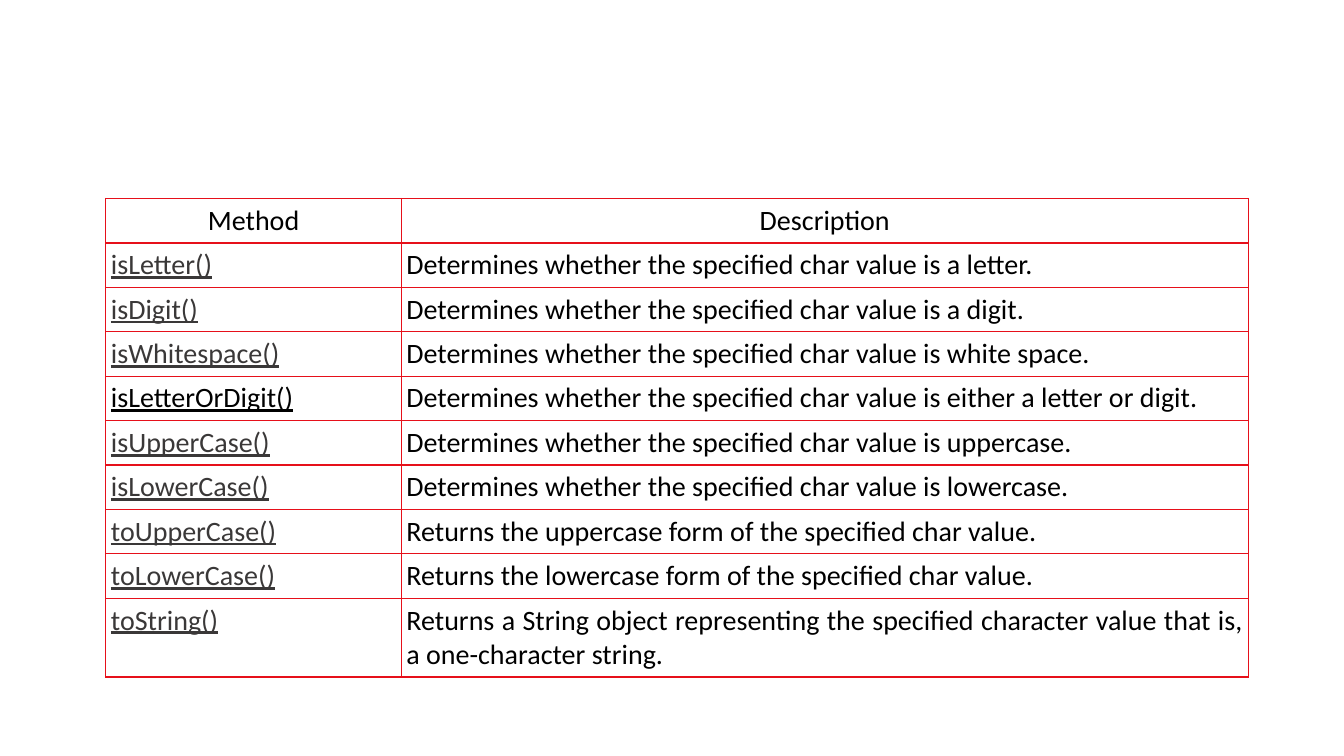
from lxml import etree
from pptx import Presentation
from pptx.dml.color import RGBColor
from pptx.enum import text
from pptx.oxml import ns
from pptx.util import Inches, Pt

BLACK = RGBColor(0x00, 0x00, 0x00)
METHOD_GREY = RGBColor(0x3A, 0x38, 0x38)
BORDER_RED = RGBColor(0xE6, 0x10, 0x1A)

HEADINGS = ("Method", "Description")
CHECK = "Determines whether the specified char value is "
METHODS = [
    ("isLetter()", CHECK + "a letter."),
    ("isDigit()", CHECK + "a digit."),
    ("isWhitespace()", CHECK + "white space."),
    ("isLetterOrDigit()", CHECK + "either a letter or digit."),
    ("isUpperCase()", CHECK + "uppercase."),
    ("isLowerCase()", CHECK + "lowercase."),
    ("toUpperCase()", "Returns the uppercase form of the specified char value."),
    ("toLowerCase()", "Returns the lowercase form of the specified char value."),
    ("toString()", "Returns a String object representing the specified "
                   "character value that is, a one-character string."),
]


def add_borders(cell):
    """Draw a thin red line on all four sides of a cell."""
    properties = cell._tc.get_or_add_tcPr()
    for position, side in enumerate(("lnL", "lnR", "lnT", "lnB")):
        line = etree.Element(ns.qn("a:" + side), w=str(Pt(1)))
        solid = etree.SubElement(line, ns.qn("a:solidFill"))
        etree.SubElement(solid, ns.qn("a:srgbClr"), val=str(BORDER_RED))
        properties.insert(position, line)


prs = Presentation()
prs.slide_width, prs.slide_height = Inches(13.33), Inches(7.5)
slide = prs.slides.add_slide(prs.slide_layouts[6])

rows = [HEADINGS] + METHODS
method_table = slide.shapes.add_table(
    len(rows), len(HEADINGS),
    Inches(1.05), Inches(1.97), Inches(11.33), Inches(4.64)).table
method_table.horz_banding = False
method_table.first_row = False
for column, width in zip(method_table.columns, (2.93, 8.4)):
    column.width = Inches(width)
for row in method_table.rows:
    row.height = Inches(0.43)
method_table.rows[len(rows) - 1].height = Inches(0.77)

for row_number, row in enumerate(rows):
    for column_number, wording in enumerate(row):
        cell = method_table.cell(row_number, column_number)
        cell.margin_left = cell.margin_right = Inches(0.05)
        cell.margin_top = cell.margin_bottom = Inches(0.05)
        cell.fill.background()
        add_borders(cell)

        cell.text = wording
        paragraph = cell.text_frame.paragraphs[0]
        is_heading = row_number == 0
        is_method = column_number == 0 and not is_heading
        paragraph.alignment = (text.PP_ALIGN.CENTER if is_heading
                               else text.PP_ALIGN.JUSTIFY)
        font = paragraph.font
        font.name, font.size, font.bold = "Calibri", Pt(20), False
        font.underline = is_method
        is_grey = is_method and wording != "isLetterOrDigit()"
        font.color.rgb = METHOD_GREY if is_grey else BLACK

prs.save("out.pptx")
